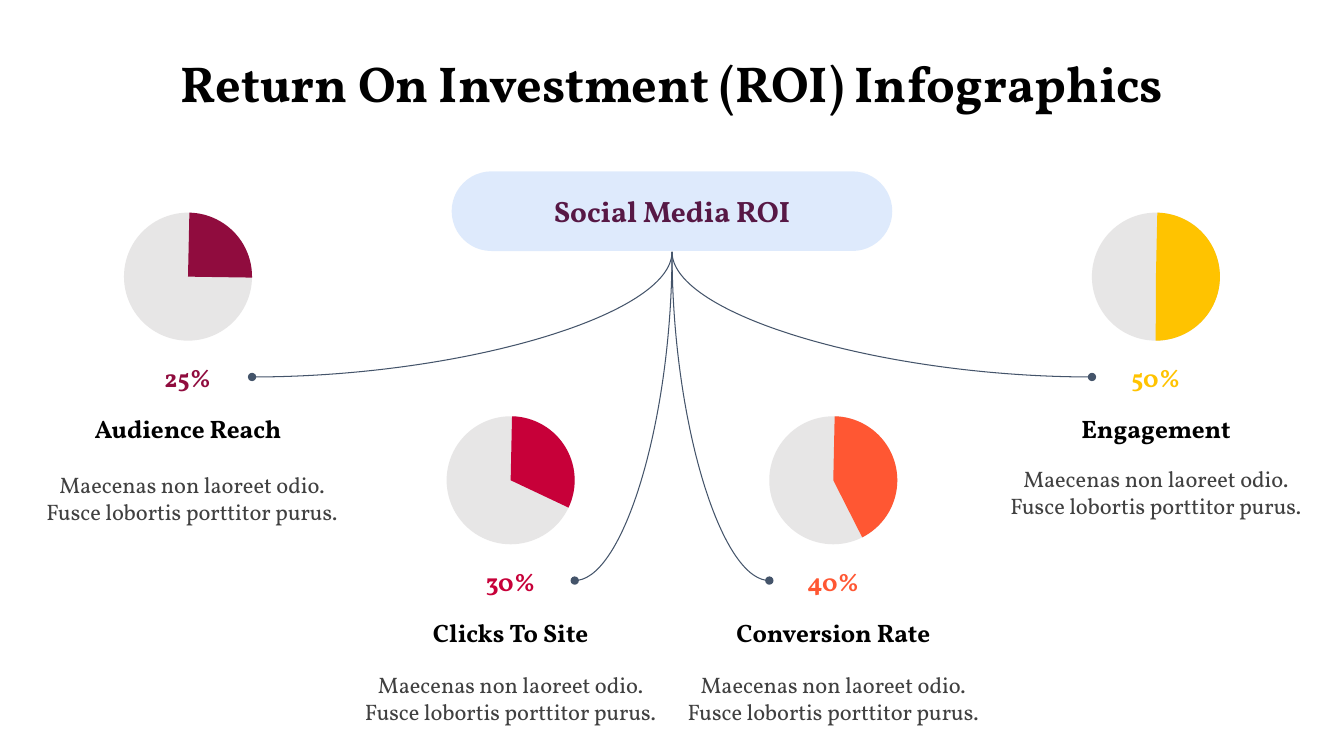
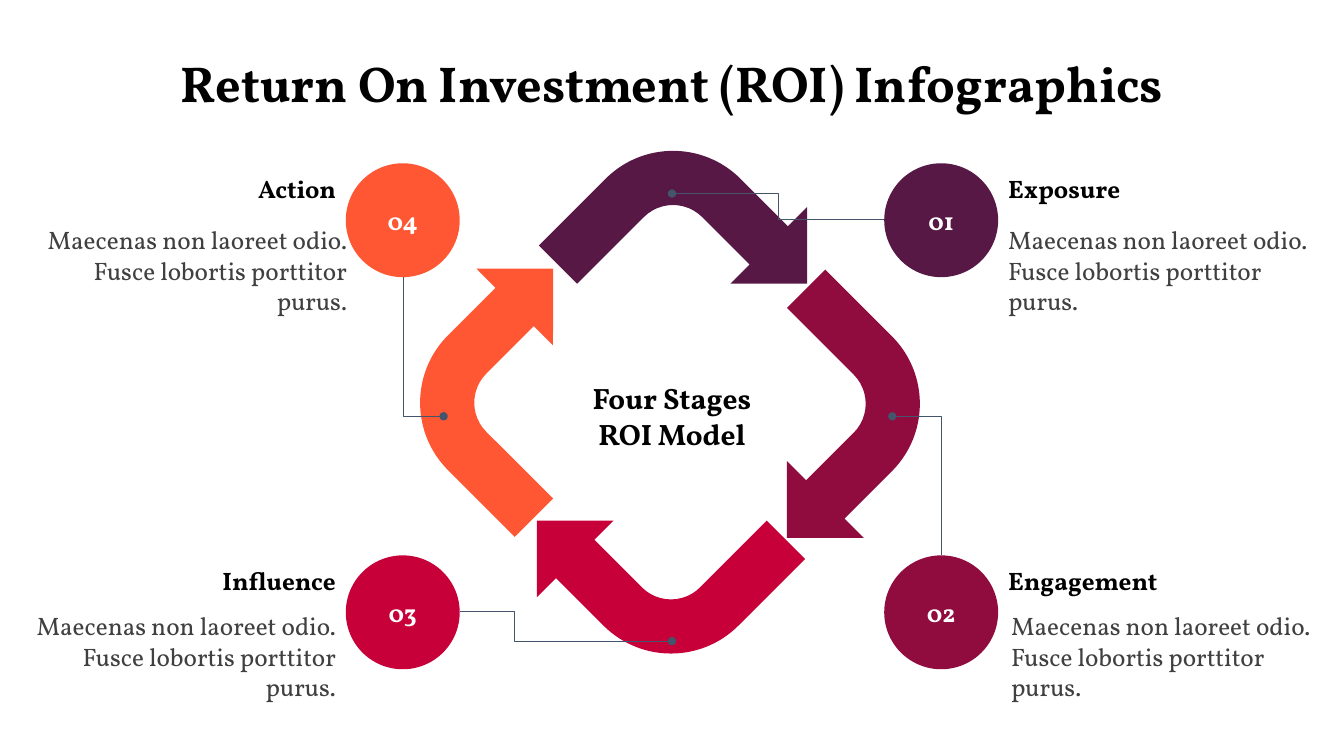
from pptx import Presentation
from pptx.dml.color import RGBColor
from pptx.enum.shapes import MSO_CONNECTOR as CONN, MSO_SHAPE as SHAPE
from pptx.enum.text import MSO_ANCHOR as ANCHOR, PP_ALIGN as ALIGN
from pptx.oxml.ns import qn
from pptx.util import Inches, Pt
from lxml.etree import SubElement

W, H = 13.33, 7.5
FONT = "Vollkorn"
TITLE = "Return On Investment (ROI) Infographics"
BODY = "Maecenas non laoreet odio. Fusce lobortis porttitor purus."
C = {
    "plum": "571845", "wine": "900C3E", "red": "C70039", "orange": "FF5733",
    "yellow": "FFC300", "blue": "0363EB", "grey": "E7E6E6", "line": "44546A",
    "black": "000000", "body": "404040", "white": "FFFFFF",
}


def rgb(name):
    """Look up a palette colour."""
    return RGBColor.from_string(C[name])


def write(shape, text, size, color="black", bold=True, align=ALIGN.CENTER,
          anchor=ANCHOR.MIDDLE, inset=0.1):
    """Fill a shape with one styled paragraph."""
    tf = shape.text_frame
    tf.word_wrap = True
    tf.vertical_anchor = anchor
    tf.margin_left = tf.margin_right = Inches(0.1)
    tf.margin_top = tf.margin_bottom = Inches(inset)
    p = tf.paragraphs[0]
    p.text = text
    p.alignment = align
    font = p.runs[0].font
    font.name, font.size, font.bold = FONT, Pt(size), bold
    font.color.rgb = rgb(color)


def add_text(s, box, text, size, **style):
    """Add a text box at (left, top, width, height)."""
    write(s.shapes.add_textbox(*map(Inches, box)), text, size, **style)


def add_shape(s, kind, box, color, adjust=()):
    """Add a flat shape without outline."""
    sp = s.shapes.add_shape(kind, *map(Inches, box))
    sp.shadow.inherit = False
    sp.fill.solid()
    sp.fill.fore_color.rgb = rgb(color)
    sp.line.fill.background()
    for i, value in enumerate(adjust):
        sp.adjustments[i] = value
    return sp


def add_link(s, kind, x1, y1, x2, y2):
    """Add a thin connector with a dot at its end."""
    c = s.shapes.add_connector(kind, *map(Inches, (x1, y1, x2, y2)))
    c.line.width = Pt(0.75)
    c.line.color.rgb = rgb("line")
    spPr = c._element.spPr
    SubElement(spPr.find(qn("a:ln")), qn("a:tailEnd"), type="oval")
    SubElement(spPr, qn("a:effectLst"))
    return spPr


def add_corner(s, kind, preset, x1, y1, x2, y2):
    """Add a one-turn connector that leaves vertically and arrives sideways."""
    dx, dy = x2 - x1, y2 - y1
    cx, cy = (x1 + x2) / 2, (y1 + y2) / 2
    half_w, half_h = abs(dy) / 2, abs(dx) / 2
    if (dx < 0) == (dy < 0):
        half_w = -half_w
    spPr = add_link(s, kind, cx - half_w, cy - half_h, cx + half_w, cy + half_h)
    spPr.find(qn("a:xfrm")).set("rot", str((90 if dx < 0 else 270) * 60000))
    spPr.find(qn("a:prstGeom")).set("prst", preset)


def add_step(s, x1, y1, x2, y2, turn=0.5):
    """Add a two-turn connector, turning at a share of its width."""
    geom = add_link(s, CONN.ELBOW, x1, y1, x2, y2).find(qn("a:prstGeom"))
    av = geom.find(qn("a:avLst"))
    if av is None:
        av = SubElement(geom, qn("a:avLst"))
    SubElement(av, qn("a:gd"), name="adj1", fmla=f"val {round(turn * 100000)}")


def new_slide(prs):
    """Add a blank slide with the shared title."""
    s = prs.slides.add_slide(prs.slide_layouts[6])
    add_text(s, (0, 0.47, W, 0.71), TITLE, 36, anchor=ANCHOR.TOP, inset=0.05)
    return s


def add_metric(s, left, top, name, share, color, end, nudge):
    """Draw a pie, its percentage, heading and text in one column."""
    w, d = 3.11, 1.27
    pie_x = left + (w - d) / 2
    pie = (pie_x, top, d, d)
    add_shape(s, SHAPE.OVAL, pie, "grey")
    add_shape(s, SHAPE.PIE, pie, color, (271.25 * 0.6, end * 0.6))
    add_text(s, (pie_x, top + 1.38, d, 0.51), share, 18, color=color)
    add_text(s, (left, top + 1.89, w, 0.51), name, 18)
    add_text(s, (left + nudge[0], top + 2.42 + nudge[1], w, 0.75), BODY, 16,
             color="body", bold=False)
    dot_x = pie_x + d if left < W / 2 - w / 2 else pie_x
    add_corner(s, CONN.CURVE, "curvedConnector2", W / 2, 2.5, dot_x, top + 1.63)


def build_metrics(prs):
    """Build the slide of four metrics under one heading."""
    s = new_slide(prs)
    pill = add_shape(s, SHAPE.ROUNDED_RECTANGLE, (4.48, 1.7, 4.37, 0.79), "blue", (0.5,))
    color = pill._element.spPr.find(qn("a:solidFill"))[0]
    SubElement(color, qn("a:alpha"), val="13000")
    write(pill, "Social Media ROI", 21, color="plum")
    metrics = [
        (2.11, "Audience Reach", "25%", "wine", 0.85, (0.04, 0.04)),
        (4.13, "Clicks To Site", "30%", "red", 25.31, (0, 0)),
        (4.13, "Conversion Rate", "40%", "orange", 63.11, (0, 0)),
        (2.11, "Engagement", "50%", "yellow", 90.2, (0, -0.02)),
    ]
    for i, (top, *metric) in enumerate(metrics):
        add_metric(s, 0.31 + 3.2 * i, top, *metric)


def add_stage(s, on_right, top, number, name, color, nudge):
    """Draw a numbered circle with its heading and text on the outer side."""
    d, edge, head_w, body_w = 1.13, 9.9, 3.25, 3.4
    align = ALIGN.LEFT if on_right else ALIGN.RIGHT

    def place(x, w):
        return x if on_right else W - x - w

    circle = add_shape(s, SHAPE.OVAL, (place(edge - d, d), top, d, d), color)
    write(circle, number, 18, color="white")
    add_text(s, (place(edge, head_w), top + 0.03, head_w, 0.43), name, 18, align=align)
    add_text(s, (place(edge, body_w) + nudge[0], top + 0.5 + nudge[1], body_w, 1.01),
             BODY, 18, color="body", bold=False, align=align,
             anchor=ANCHOR.TOP, inset=0.05)


def build_cycle(prs):
    """Build the slide of four stages around a cycle of arrows."""
    s = new_slide(prs)
    arrows = [(5.79, 1.36, 45, "plum"), (7.11, 3.12, 135, "wine"),
              (5.39, 4.47, 225, "red"), (4.03, 2.73, 315, "orange")]
    for x, y, angle, color in arrows:
        arrow = add_shape(s, SHAPE.BENT_ARROW, (x, y, 2.15, 2.15), color,
                          (0.25, 0.25, 0.25, 0.44))
        arrow.rotation = angle
    top, bottom = 1.62, 5.51
    stages = [
        (True, top, "01", "Exposure", "plum", (0, 0.06)),
        (True, bottom, "02", "Engagement", "wine", (0.03, 0)),
        (False, bottom, "03", "Influence", "red", (0, 0)),
        (False, top, "04", "Action", "orange", (0.11, 0.06)),
    ]
    for stage in stages:
        add_stage(s, *stage)
    add_step(s, 8.77, 2.18, W / 2, 1.92)
    add_step(s, 4.56, 6.07, W / 2, 6.36, 0.26)
    for x1, y1, x2 in [(9.34, bottom, 8.85), (4, 2.75, 4.4)]:
        add_corner(s, CONN.ELBOW, "bentConnector2", x1, y1, x2, 4.13)
    add_text(s, (5.53, 3.63, 2.27, 0.99), "Four Stages ROI Model", 21)


def main():
    """Build and save the presentation."""
    prs = Presentation()
    prs.slide_width, prs.slide_height = Inches(W), Inches(H)
    build_metrics(prs)
    build_cycle(prs)
    prs.save("out.pptx")


if __name__ == "__main__":
    main()
